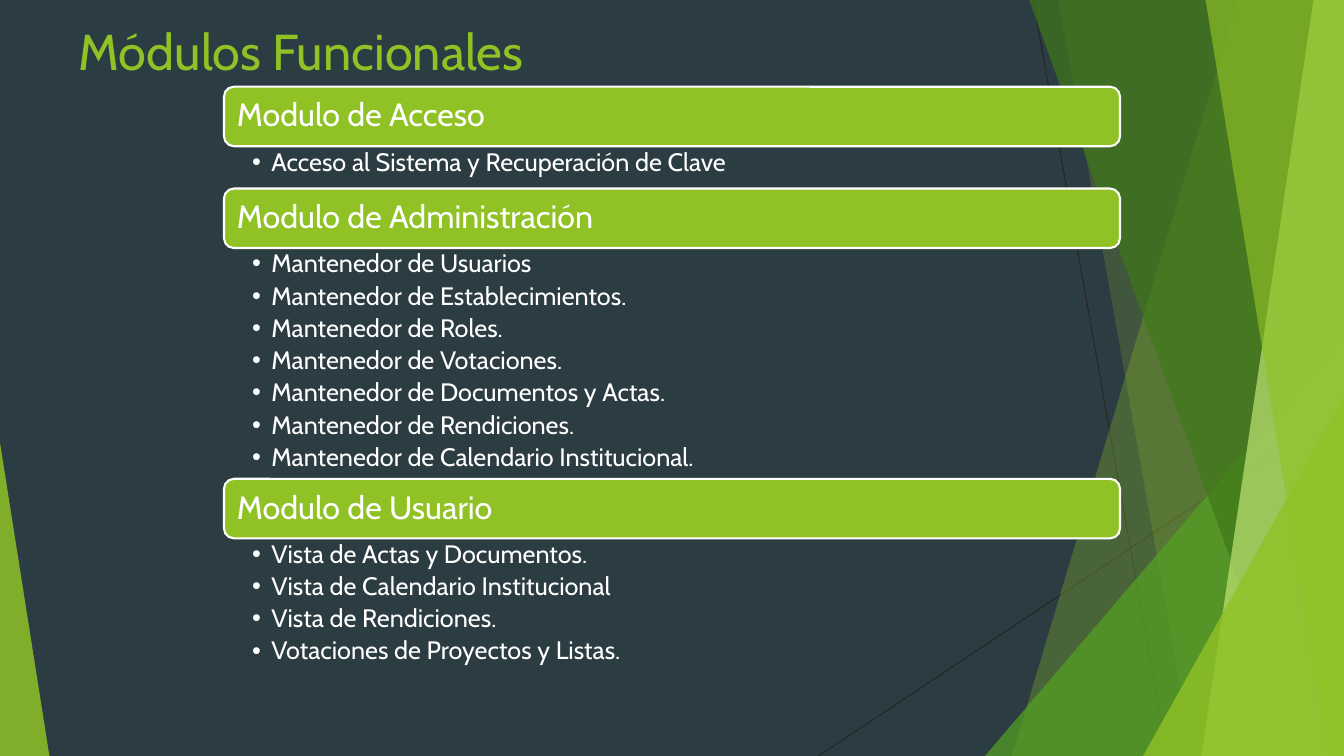
"""Build the slide of functional modules."""
import lxml.etree
import pptx
import pptx.dml.color
import pptx.enum.shapes
import pptx.enum.text
import pptx.oxml.ns
import pptx.util

Pt = pptx.util.Pt
Inch = pptx.util.Inches
Kind = pptx.enum.shapes.MSO_SHAPE
Anchor = pptx.enum.text.MSO_ANCHOR
qn = pptx.oxml.ns.qn

HUES = {
    "back": "2C3C43", "lime": "90C226", "white": "FFFFFF", "ink": "262626",
    "green": "54A021", "forest": "3F7819", "pale": "C0E474",
}
MODULES = [
    ("Modulo de Acceso", 5.6, ["Acceso al Sistema y Recuperación de Clave"]),
    ("Modulo de Administración", 30.53, [
        "Mantenedor de Usuarios",
        "Mantenedor de Establecimientos.",
        "Mantenedor de Roles.",
        "Mantenedor de Votaciones.",
        "Mantenedor de Documentos y Actas.",
        "Mantenedor de Rendiciones.",
        "Mantenedor de Calendario Institucional.",
    ]),
    ("Modulo de Usuario", 17.33, [
        "Vista de Actas y Documentos.",
        "Vista de Calendario Institucional",
        "Vista de Rendiciones.",
        "Votaciones de Proyectos y Listas.",
    ]),
]
LEFT, WIDTH, TOP, BAR = 16.67, 66.67, 11.47, 7.87


class Deck:
    """Draws on one slide, with lengths in percent of its size."""

    face = "Cabin"

    def __init__(self):
        self.file = pptx.Presentation()
        self.file.slide_width = Inch(13.333)
        self.file.slide_height = Inch(7.5)
        self.slide = self.file.slides.add_slide(self.file.slide_layouts[4])
        self.shapes = self.slide.shapes
        self.slots = list(self.slide.placeholders)
        fill = self.slide.background.fill
        fill.solid()
        fill.fore_color.rgb = self.hue("back")

    def hue(self, name):
        return pptx.dml.color.RGBColor.from_string(HUES[name])

    def x(self, part):
        return round(self.file.slide_width * part / 100)

    def y(self, part):
        return round(self.file.slide_height * part / 100)

    def box(self, left, top, width, height):
        return self.x(left), self.y(top), self.x(width), self.y(height)

    def paint(self, shape, hue, alpha=100):
        shape.shadow.inherit = False
        shape.line.fill.background()
        shape.fill.solid()
        shape.fill.fore_color.rgb = self.hue(hue)
        if alpha < 100:
            tint = shape.fill._xPr.find(".//" + qn("a:srgbClr"))
            lxml.etree.SubElement(tint, qn("a:alpha"), val=str(alpha * 1000))

    def line(self, x1, y1, x2, y2):
        link = self.shapes.add_connector(
            pptx.enum.shapes.MSO_CONNECTOR.STRAIGHT,
            self.x(x1), self.y(y1), self.x(x2), self.y(y2))
        link.line.color.rgb = self.hue("ink")
        link.line.width = Pt(0.75)
        lxml.etree.SubElement(link._element.spPr, qn("a:effectLst"))

    def shard(self, top, base, hue, alpha):
        pen = self.shapes.build_freeform(self.x(top), 0)
        spots = [(100, 0), (100, 100), (base, 100)]
        pen.add_line_segments([(self.x(a), self.y(b)) for a, b in spots])
        self.paint(pen.convert_to_shape(), hue, alpha)

    def wedge(self, left, top, width, peak, hue, alpha):
        shape = self.shapes.add_shape(
            Kind.ISOSCELES_TRIANGLE, *self.box(left, top, width, 100 - top))
        shape.adjustments[0] = peak
        self.paint(shape, hue, alpha)

    def style(self, para, size, hue="white"):
        para.alignment = pptx.enum.text.PP_ALIGN.LEFT
        para.line_spacing = 0.9
        para.space_before = Pt(0)
        para.font.name = self.face
        para.font.size = Pt(size)
        para.font.bold = False
        para.font.color.rgb = self.hue(hue)

    def place(self, area, text):
        slot = self.slots.pop(0)
        slot.left, slot.top, slot.width, slot.height = self.box(*area)
        self.shapes._spTree.append(slot._element)
        frame = slot.text_frame
        frame.text = text
        frame.word_wrap = True
        frame.auto_size = pptx.enum.text.MSO_AUTO_SIZE.NONE
        frame.vertical_anchor = Anchor.TOP
        return frame

    def title(self, text, *area):
        para = self.place(area, text).paragraphs[0]
        self.style(para, 36, "lime")
        para.line_spacing = 1.0

    def bar(self, text, *area):
        shape = self.shapes.add_shape(
            Kind.ROUNDED_RECTANGLE, *self.box(*area))
        self.paint(shape, "lime")
        shape.line.color.rgb = self.hue("white")
        shape.line.width = Pt(1.5)
        frame = shape.text_frame
        frame.text = text
        frame.word_wrap = True
        frame.vertical_anchor = Anchor.MIDDLE
        frame.margin_left = frame.margin_right = Inch(0.1)
        self.style(frame.paragraphs[0], 23)

    def items(self, texts, *area):
        frame = self.place(area, "\n".join(texts))
        frame.margin_left, frame.margin_right = Inch(0.28), Inch(0.18)
        frame.margin_top = frame.margin_bottom = Inch(0.03)
        for para in frame.paragraphs:
            props = para._p.get_or_add_pPr()
            props.set("marL", str(Inch(0.19)))
            props.set("indent", str(-Inch(0.19)))
            lxml.etree.SubElement(props, qn("a:buChar"), char="•")
            para.space_after = Pt(3.6)
            self.style(para, 18)

    def save(self):
        for slot in self.slots:
            self.shapes._spTree.remove(slot._element)
        self.file.save("out.pptx")


def main():
    deck = Deck()
    deck.line(76.88, 0, 86.85, 100)
    deck.line(100, 53.73, 60.9, 100)
    deck.shard(92.1, 75.3, "lime", 30)
    deck.shard(78.75, 88.73, "lime", 20)
    deck.wedge(73.28, 44.4, 26.72, 1, "green", 72)
    deck.shard(76.58, 96.83, "forest", 70)
    deck.shard(97.73, 89.4, "pale", 70)
    deck.shard(89.7, 98.85, "lime", 65)
    deck.wedge(85.05, 52.4, 14.95, 1, "lime", 80)
    deck.wedge(0, 58.53, 3.68, 0, "lime", 85)
    deck.title("Módulos Funcionales", 5.1, 2, 70.5, 12.13)
    top = TOP
    for name, depth, texts in MODULES:
        deck.bar(name, LEFT, top, WIDTH, BAR)
        deck.items(texts, LEFT, top + BAR, WIDTH, depth)
        top += BAR + depth
    deck.save()


if __name__ == "__main__":
    main()
